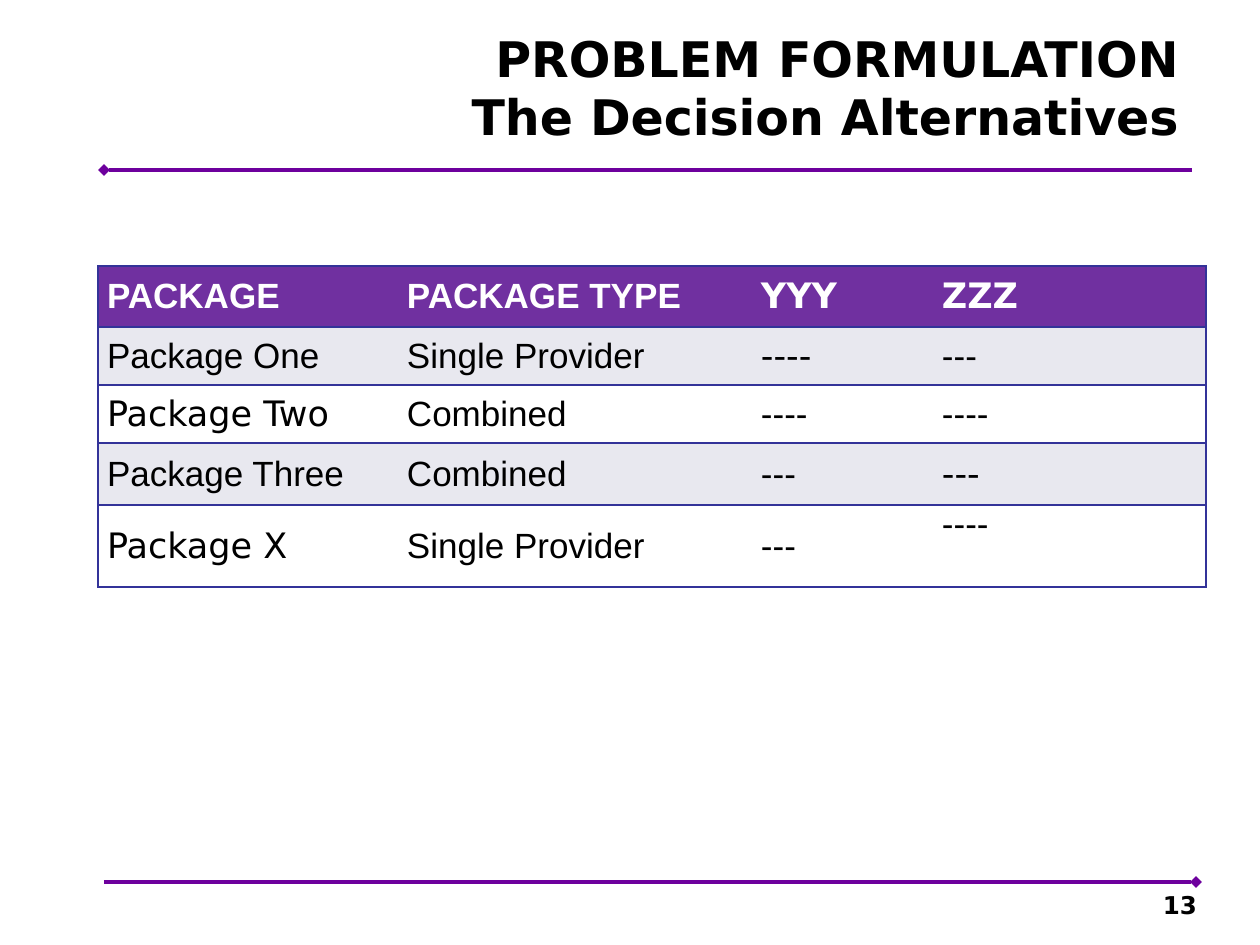
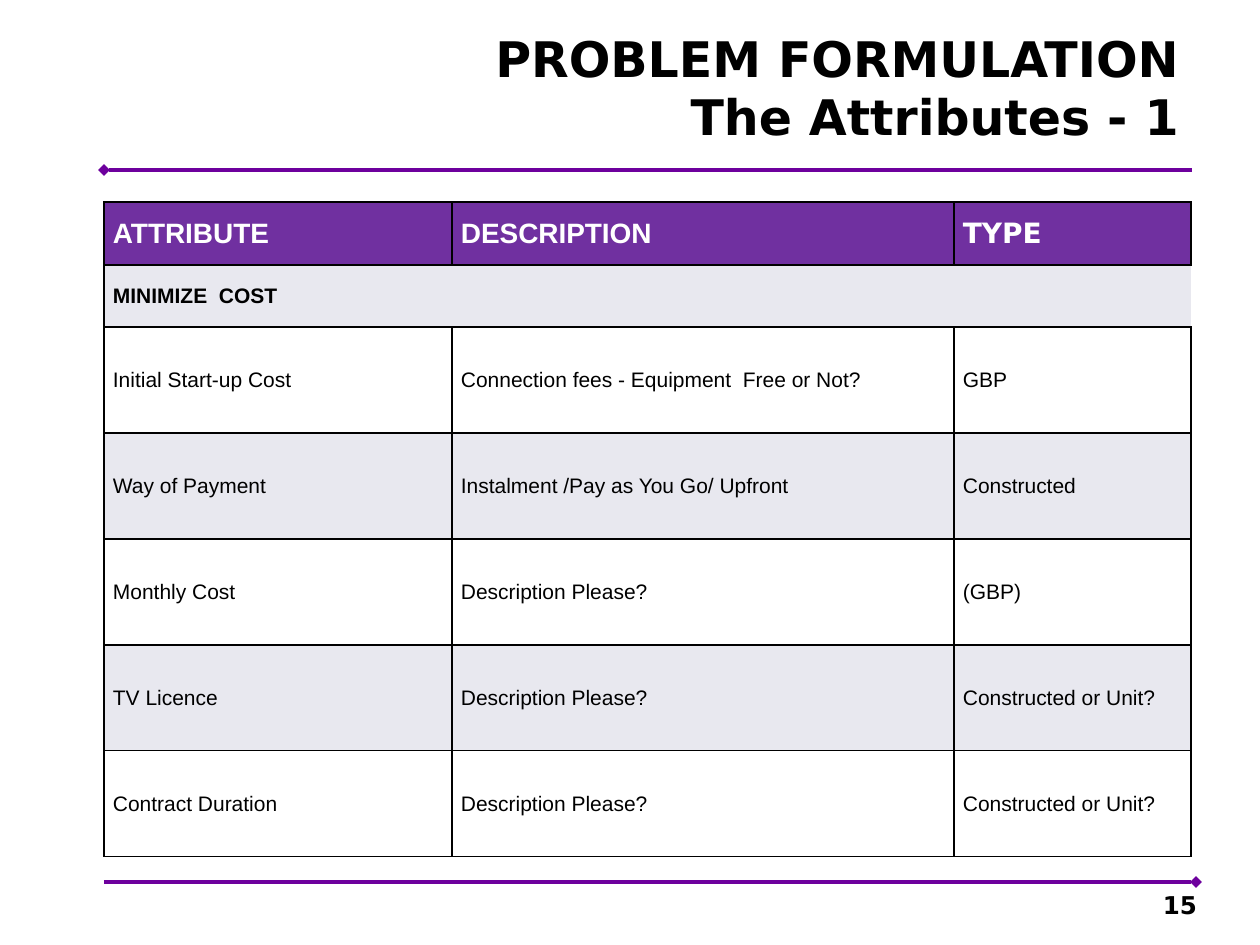
import pptx
import pptx.util
import pptx.dml.color
import pptx.enum.shapes
import pptx.enum.text
import pptx.oxml
import pptx.oxml.ns

# Shared look
HEX = {"rule": "6D009D", "head": "7030A0", "band": "E8E8EF", "plain": "FFFFFF",
       "text": "000000", "navy": "333399"}
SANS, ARIAL = "DejaVu Sans", "Arial"
PIX = 914400 // 126
ALIGN, ANCHOR = pptx.enum.text.PP_ALIGN, pptx.enum.text.MSO_ANCHOR
NO_STYLE = "{2D5ABB26-0587-4C30-8999-92F81FD0307C}"

# Content: "sans" and "top" list the (row, column) cells that differ
SLIDES = [
    {"title": "PROBLEM FORMULATION\nThe Decision Alternatives", "num": "13",
     "at": (98, 266), "cols": [300, 354, 181, 273], "rows": [61, 58, 58, 62, 82],
     "sizes": (20, 20), "line": "navy", "grid": False,
     "sans": {(0, 2), (0, 3), (1, 2), (2, 0), (3, 3), (4, 0)}, "top": {(4, 3)},
     "cells": [
         ("PACKAGE", "PACKAGE TYPE", "YYY", "ZZZ"),
         ("Package One", "Single Provider", "----", "---"),
         ("Package Two", "Combined", "----", "----"),
         ("Package Three", "Combined", "---", "---"),
         ("Package X", "Single Provider", "---", "----")]},
    {"title": "PROBLEM FORMULATION\nThe Attributes - 1", "num": "15",
     "at": (104, 202), "cols": [348, 502, 237], "rows": [63, 62] + [106] * 5,
     "sizes": (16, 12), "line": "text", "grid": True,
     "sans": {(0, 2)}, "top": set(),
     "cells": [
         ("ATTRIBUTE", "DESCRIPTION", "TYPE"),
         ("MINIMIZE  COST",),
         ("Initial Start-up Cost", "Connection fees - Equipment  Free or Not?", "GBP"),
         ("Way of Payment", "Instalment /Pay as You Go/ Upfront", "Constructed"),
         ("Monthly Cost", "Description Please?", "(GBP)"),
         ("TV Licence", "Description Please?", "Constructed or Unit?"),
         ("Contract Duration", "Description Please?", "Constructed or Unit?")]},
]


def px(*nums):
    return [pptx.util.Emu(num * PIX) for num in nums]


def rgb(name):
    return pptx.dml.color.RGBColor.from_string(HEX[name])


def add_xml(node, tag, **attrs):
    kid = pptx.oxml.ns.qn("a:" + tag)
    kid = node.makeelement(kid, attrs)
    node.append(kid)
    return kid


def write(frame, text, size=12, font=ARIAL, color="text", bold=False, align=ALIGN.LEFT):
    para = frame.paragraphs[0]
    para.text = text.replace("\n", "\v")
    para.alignment = align
    for run in para.runs:
        run.font.size = pptx.util.Pt(size)
        run.font.name = font
        run.font.bold = bold
        run.font.color.rgb = rgb(color)


def add_box(slide, text, box, anchor, right, **form):
    frame = slide.shapes.add_textbox(*px(*box)).text_frame
    frame.word_wrap = True
    frame.vertical_anchor = anchor
    frame.margin_right = pptx.util.Inches(right)
    write(frame, text, font=SANS, bold=True, align=ALIGN.RIGHT, **form)


def add_rule(slide, start, end, y, tip):
    kind = pptx.enum.shapes.MSO_CONNECTOR.STRAIGHT
    rule = slide.shapes.add_connector(kind, *px(start, y, end, y))
    rule.line.color.rgb = rgb("rule")
    rule.line.width = pptx.util.Pt(2.25)
    add_xml(rule.line._get_or_add_ln(), tip, type="diamond")
    add_xml(rule._element.spPr, "effectLst")


def add_edges(cell, color, sides):
    props = cell._tc.get_or_add_tcPr()
    for spot, side in enumerate("LRTB"):
        line = props.makeelement(pptx.oxml.ns.qn("a:ln" + side), {"w": "12700"})
        props.insert(spot, line)
        if side in sides:
            add_xml(add_xml(line, "solidFill"), "srgbClr", val=HEX[color])
        else:
            add_xml(line, "noFill")


def add_grid(slide, data):
    cols, rows = data["cols"], data["rows"]
    size = px(*data["at"], sum(cols), sum(rows))
    table = slide.shapes.add_table(len(rows), len(cols), *size).table
    table._tbl.tblPr.find(pptx.oxml.ns.qn("a:tableStyleId")).text = NO_STYLE
    for col, wide in zip(table.columns, px(*cols)):
        col.width = wide
    for row, high in zip(table.rows, px(*rows)):
        row.height = high

    for r, texts in enumerate(data["cells"]):
        head = r == 0
        whole = len(texts) == 1
        fill = "head" if head else "band" if r % 2 else "plain"
        for c in range(len(cols)):
            cell = table.cell(r, c)
            cell.margin_left = cell.margin_right = px(9)[0]
            cell.margin_top = cell.margin_bottom = 0
            cell.vertical_anchor = ANCHOR.TOP if (r, c) in data["top"] else ANCHOR.MIDDLE
            cell.fill.solid()
            cell.fill.fore_color.rgb = rgb(fill)
            sides = "TB"
            if c == 0 or data["grid"] and not whole:
                sides += "L"
            if c == len(cols) - 1 or data["grid"] and not whole:
                sides += "R"
            add_edges(cell, data["line"], sides)
            if c < len(texts):
                write(cell.text_frame, texts[c], size=data["sizes"][not head],
                      font=SANS if (r, c) in data["sans"] else ARIAL,
                      color="plain" if head else "text", bold=head or whole)
        if whole:
            table.cell(r, 0).merge(table.cell(r, len(cols) - 1))


# Build the slides
deck = pptx.Presentation()
deck.slide_width, deck.slide_height = px(1260, 945)
for data in SLIDES:
    slide = deck.slides.add_slide(deck.slide_layouts[6])
    add_rule(slide, 104, 1192, 170, "headEnd")
    add_rule(slide, 104, 1196, 882, "tailEnd")
    add_box(slide, data["title"], (333, 22, 858, 138), ANCHOR.TOP, 0.1, size=28)
    add_box(slide, data["num"], (903, 889, 294, 37), ANCHOR.BOTTOM, 0, size=14)
    add_grid(slide, data)
deck.save("out.pptx")
